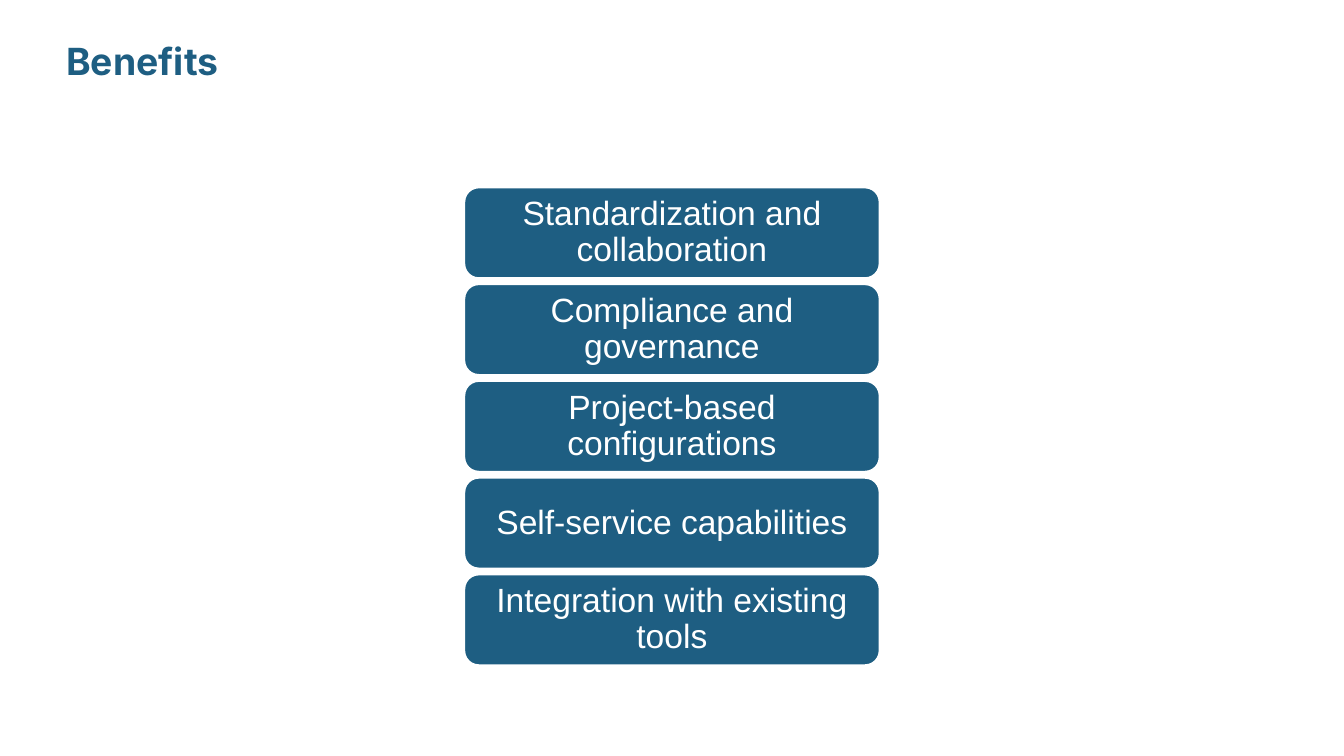
from dataclasses import dataclass

from pptx import Presentation
from pptx.dml.color import RGBColor
from pptx.enum.shapes import MSO_SHAPE as Shape
from pptx.enum.text import MSO_ANCHOR as Anchor, PP_ALIGN as Align
from pptx.util import Inches, Pt


@dataclass(frozen=True)
class Theme:
    blue: RGBColor = RGBColor(0x1E, 0x5E, 0x82)
    white: RGBColor = RGBColor(0xFF, 0xFF, 0xFF)
    title_font: str = "Inter"
    body_font: str = "Arial"
    title_size: int = 20
    body_size: int = 18
    outline: int = 2
    line_spacing: float = 0.9


class SlideBuilder:
    """Places styled elements on one slide; lengths are percent of its size."""

    def __init__(self, deck, theme):
        self.theme = theme
        self.column = deck.slide_width / 100
        self.row = deck.slide_height / 100
        self.slide = deck.slides.add_slide(deck.slide_layouts[5])

    def box(self, left, top, width, height):
        return (round(left * self.column), round(top * self.row),
                round(width * self.column), round(height * self.row))

    def format_text(self, frame, text, font, size, color, align, anchor, insets, bold=False):
        frame.text = text
        frame.word_wrap = True
        frame.vertical_anchor = anchor
        side, edge = map(Inches, insets)
        frame.margin_left = frame.margin_right = side
        frame.margin_top = frame.margin_bottom = edge
        paragraph = frame.paragraphs[0]
        paragraph.alignment = align
        paragraph.line_spacing = self.theme.line_spacing
        style = paragraph.runs[0].font
        style.name, style.size, style.bold = font, Pt(size), bold
        style.color.rgb = color

    def title(self, text, left, top, width, height):
        theme = self.theme
        heading = self.slide.shapes.title
        heading.left, heading.top, heading.width, heading.height = self.box(
            left, top, width, height)
        self.format_text(heading.text_frame, text, theme.title_font, theme.title_size,
                         theme.blue, Align.LEFT, Anchor.TOP, (0, 0), bold=True)

    def card(self, text, left, top, width, height):
        theme = self.theme
        card = self.slide.shapes.add_shape(
            Shape.ROUNDED_RECTANGLE, *self.box(left, top, width, height))
        card.shadow.inherit = False
        card.fill.solid()
        card.fill.fore_color.rgb = theme.blue
        card.line.color.rgb = theme.white
        card.line.width = Pt(theme.outline)
        self.format_text(card.text_frame, text, theme.body_font, theme.body_size,
                         theme.white, Align.CENTER, Anchor.MIDDLE, (0.07, 0.04))

    def card_stack(self, texts, top, width, height, row_step):
        left = (100 - width) / 2
        for index, text in enumerate(texts):
            self.card(text, left, top + index * row_step, width, height)


BENEFITS = [
    "Standardization and collaboration",
    "Compliance and governance",
    "Project-based configurations",
    "Self-service capabilities",
    "Integration with existing tools",
]


def main():
    # Widescreen deck, 16:9
    deck = Presentation()
    deck.slide_width = Inches(10)
    deck.slide_height = deck.slide_width * 9 // 16
    builder = SlideBuilder(deck, Theme())

    # Heading
    builder.title("Benefits", left=4.93, top=5.69, width=90.14, height=8.71)

    # Centred stack of benefits
    builder.card_stack(BENEFITS, top=24.68, width=31.04, height=12.25, row_step=12.8)

    deck.save("out.pptx")


if __name__ == "__main__":
    main()
